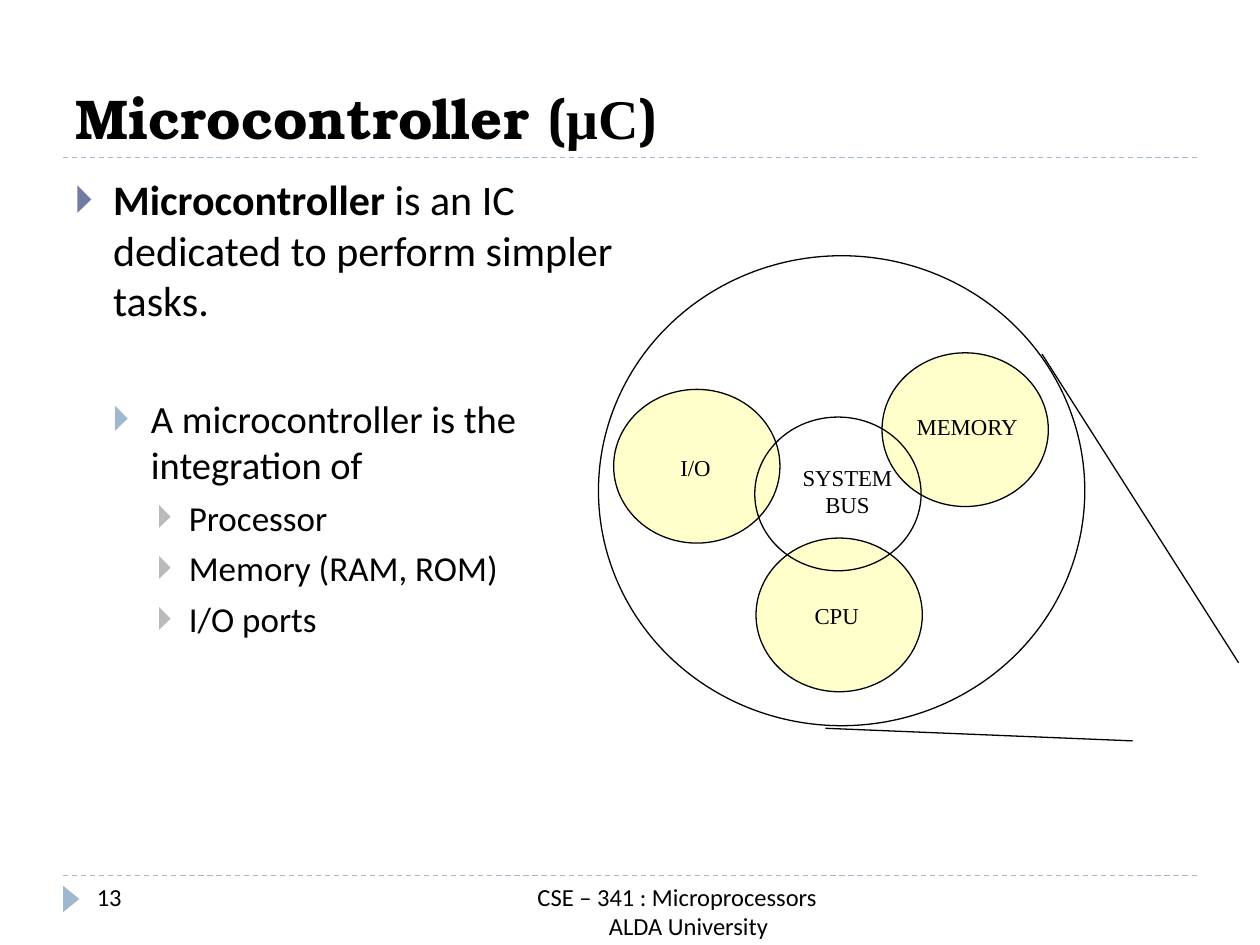
from lxml import etree
from pptx import Presentation
from pptx import util as u
from pptx.dml.color import RGBColor
from pptx.enum import dml, shapes, text
from pptx.oxml.ns import qn

COLORS = {"ink": "000000", "part": "FFFFCC", "rule": "9FB8CD",
          "bullet0": "727CA3", "bullet1": "9FB8CD", "bullet2": "BABABA"}
BODY, HEAD, LABEL = "Calibri", "TeX Gyre Bonum", "Times New Roman"
LEFT, CENTER = text.PP_ALIGN.LEFT, text.PP_ALIGN.CENTER
LEVELS = [(0.3, -0.3), (0.6, -0.3), (0.9, -0.25)]


class Deck:
    """Style and current slide, measured on a grid of 100 columns by 75 rows."""

    def __init__(self):
        self.prs = Presentation()
        self.prs.slide_width, self.prs.slide_height = u.Inches(10), u.Inches(7.5)
        self.s = self.prs.slides.add_slide(self.prs.slide_layouts[5])

    def grid(self, *cells):
        steps = self.prs.slide_width / 100, self.prs.slide_height / 75
        return [round(c * steps[i % 2]) for i, c in enumerate(cells)]

    def color(self, name):
        return RGBColor.from_string(COLORS[name])

    def frame(self, sp, anchor=text.MSO_ANCHOR.TOP):
        tf = sp.text_frame
        fmt = {"word_wrap": True, "auto_size": text.MSO_AUTO_SIZE.NONE,
               "vertical_anchor": anchor}
        for key, value in fmt.items():
            setattr(tf, key, value)
        return tf

    def add_runs(self, p, runs, size, align=LEFT, before=0):
        p.alignment, p.space_before = align, u.Pt(before)
        for words, font, bold in runs:
            r = p.add_run()
            r.text = words
            for key, value in {"name": font, "size": u.Pt(size), "bold": bold}.items():
                setattr(r.font, key, value)
            r.font.color.rgb = self.color("ink")

    def indent(self, p, left, first=0):
        pPr = p._p.get_or_add_pPr()
        pPr.set("marL", str(u.Inches(left)))
        pPr.set("indent", str(u.Inches(first)))
        return pPr

    def bullet(self, p, level):
        p.level = level
        pPr = self.indent(p, *LEVELS[level])
        clr = etree.SubElement(pPr, qn("a:buClr"))
        etree.SubElement(clr, qn("a:srgbClr"), val=COLORS[f"bullet{level}"])
        etree.SubElement(pPr, qn("a:buFont"), typeface=BODY)
        etree.SubElement(pPr, qn("a:buChar"), char="🞂")

    def title(self, cells, runs):
        sp = self.s.shapes.title
        sp.left, sp.top, sp.width, sp.height = self.grid(*cells)
        tf = self.frame(sp, text.MSO_ANCHOR.BOTTOM)
        self.add_runs(tf.paragraphs[0], runs, 32)

    def textbox(self, cells, lines, size, font=BODY, align=LEFT):
        tf = self.frame(self.s.shapes.add_textbox(*self.grid(*cells)))
        for i, line in enumerate(lines):
            p = tf.paragraphs[0] if i == 0 else tf.add_paragraph()
            self.add_runs(p, [(line, font, False)], size, align)
        return tf

    def outline(self, cells, items):
        tf = self.frame(self.s.shapes.add_textbox(*self.grid(*cells)))
        for i, (level, size, before, runs) in enumerate(items):
            p = tf.paragraphs[0] if i == 0 else tf.add_paragraph()
            self.add_runs(p, runs, size, before=before)
            self.bullet(p, level)

    def shape(self, kind, cells, fill=None, line=None):
        sp = self.s.shapes.add_shape(kind, *self.grid(*cells))
        sp.shadow.inherit = False
        if fill:
            sp.fill.solid()
            sp.fill.fore_color.rgb = self.color(fill)
        else:
            sp.fill.background()
        if line:
            sp.line.color.rgb, sp.line.width = self.color(line), u.Pt(0.75)
        else:
            sp.line.fill.background()
        return sp

    def circle(self, cells, fill=None):
        return self.shape(shapes.MSO_SHAPE.OVAL, cells, fill, "ink")

    def label(self, cells, words):
        sp = self.shape(shapes.MSO_SHAPE.RECTANGLE, cells, "part")
        self.add_runs(self.frame(sp).paragraphs[0], [(words, LABEL, False)], 13, CENTER)

    def line(self, cells, color="ink", dash=None):
        c = self.s.shapes.add_connector(shapes.MSO_CONNECTOR.STRAIGHT, *self.grid(*cells))
        fmt = {"width": u.Pt(0.75), "dash_style": dash}
        for key, value in fmt.items():
            setattr(c.line, key, value)
        c.line.color.rgb = self.color(color)
        etree.SubElement(c._element.spPr, qn("a:effectLst"))


def main():
    d = Deck()
    for row in (69.5, 12.5):
        d.line((5, row, 95, row), "rule", dml.MSO_LINE.DASH)
    marker = d.shape(shapes.MSO_SHAPE.ISOSCELES_TRIANGLE, (4.6, 70.7, 2.1, 1.3), "rule")
    marker.rotation = 90

    d.title((5, 1.7, 90, 10.8), [("Microcontroller (", HEAD, True),
                                 ("μC", LABEL, True), (")", HEAD, True)])
    d.textbox((6.7, 69.5, 21.7, 4), ["13"], 14)
    d.outline((5, 13.3, 46.7, 54), [
        (0, 24, 0, [("Microcontroller", BODY, True),
                    (" is an IC dedicated to perform simpler tasks.", BODY, False)]),
        (1, 22, 40, [("A microcontroller is the integration of", BODY, False)]),
        *[(2, 20, 5, [(part, BODY, False)])
          for part in ("Processor", "Memory (RAM, ROM)", "I/O ports")]])

    for ends in ((82.7, 28.1, 98.3, 52.6), (65.5, 57.8, 89.9, 58.8)):
        d.line(ends)
    size = (13.2, 12.2)
    for words, corner, box in (("CPU", (60, 42.7), (62, 47.3, 8.8, 3.2)),
                               ("MEMORY", (70, 28), (71.7, 32.3, 10.1, 3.2)),
                               ("I/O", (48.7, 30.9), (50.8, 35.5, 8.8, 3.2))):
        d.circle(corner + size, "part")
        d.label(box, words)
    d.circle((59.9, 33.1) + size)
    d.textbox((62, 36.3, 10.5, 5.4), ["SYSTEM BUS"], 13, LABEL, CENTER)
    d.circle((47.5, 20.3, 38.6, 37.3))

    footer = d.textbox((20, 69.5, 67.5, 4),
                       ["CSE – 341 : Microprocessors", "ALDA University"], 14, align=CENTER)
    d.indent(footer.paragraphs[1], 0.18)
    d.prs.save("out.pptx")


if __name__ == "__main__":
    main()
